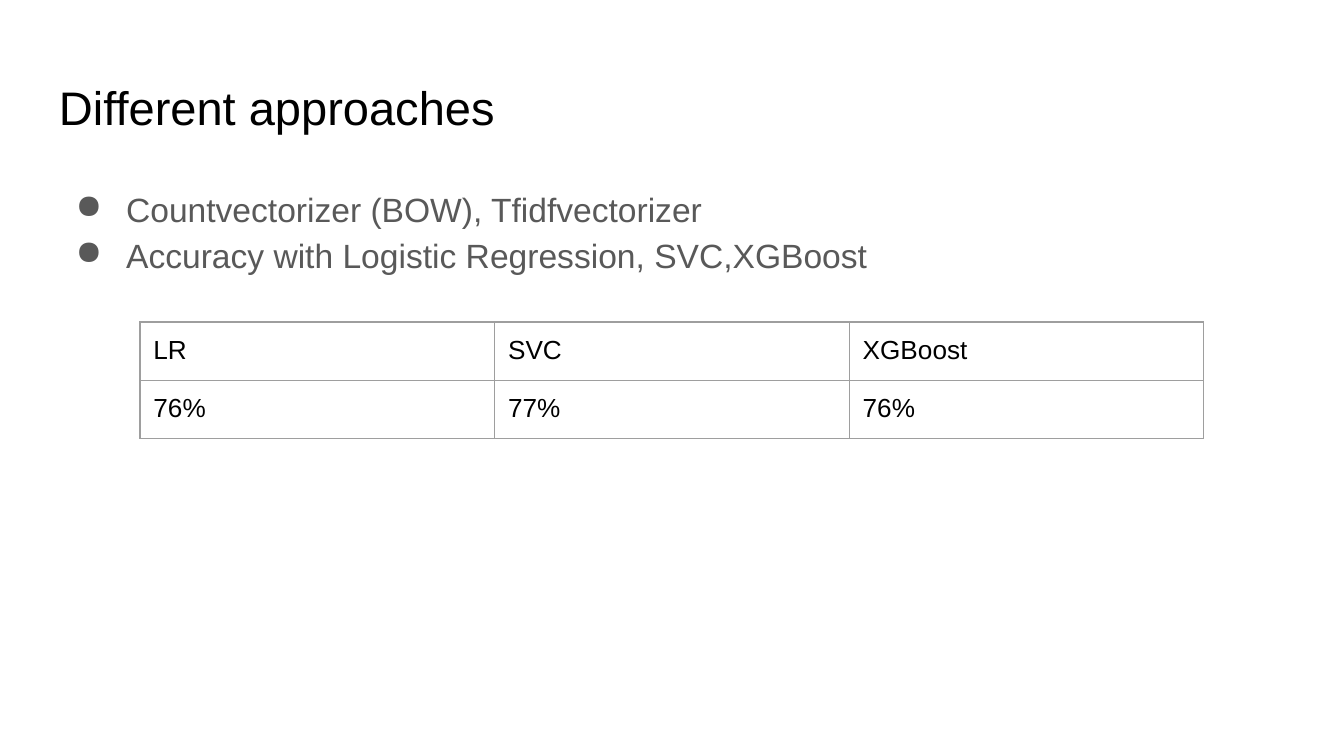
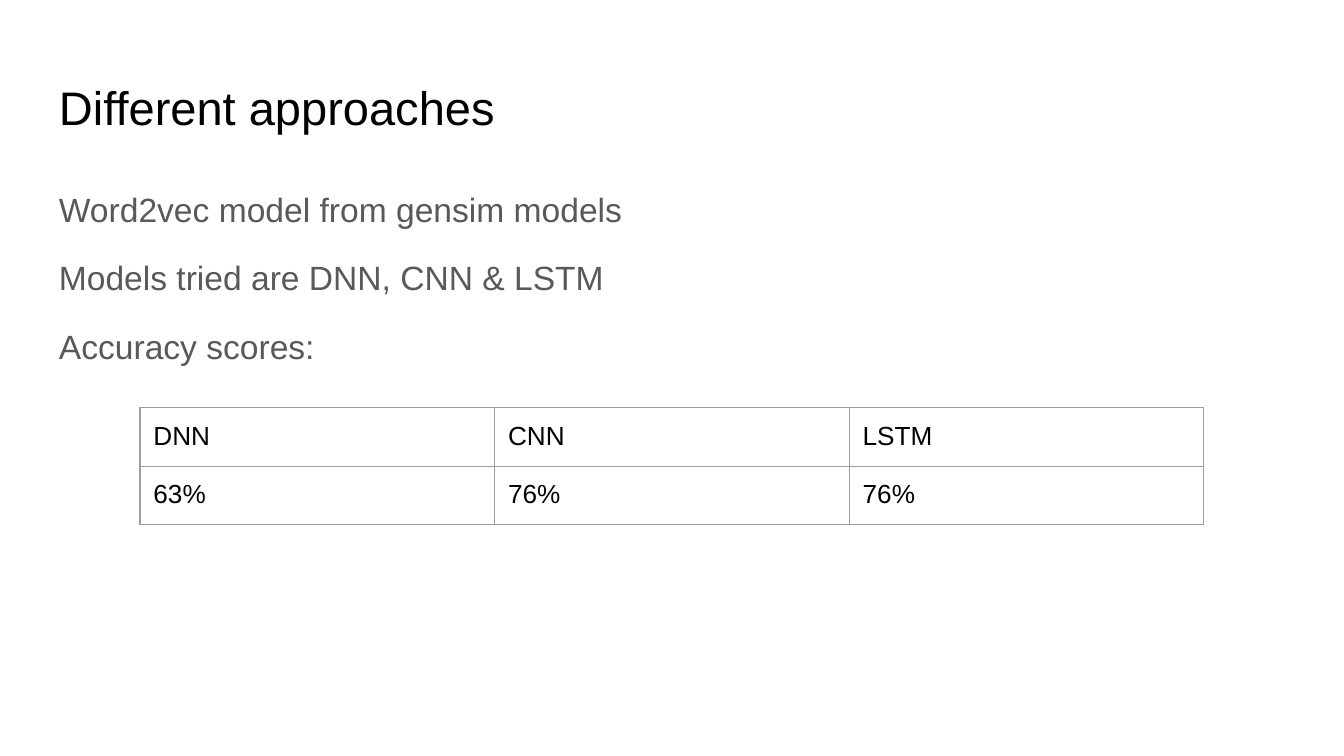
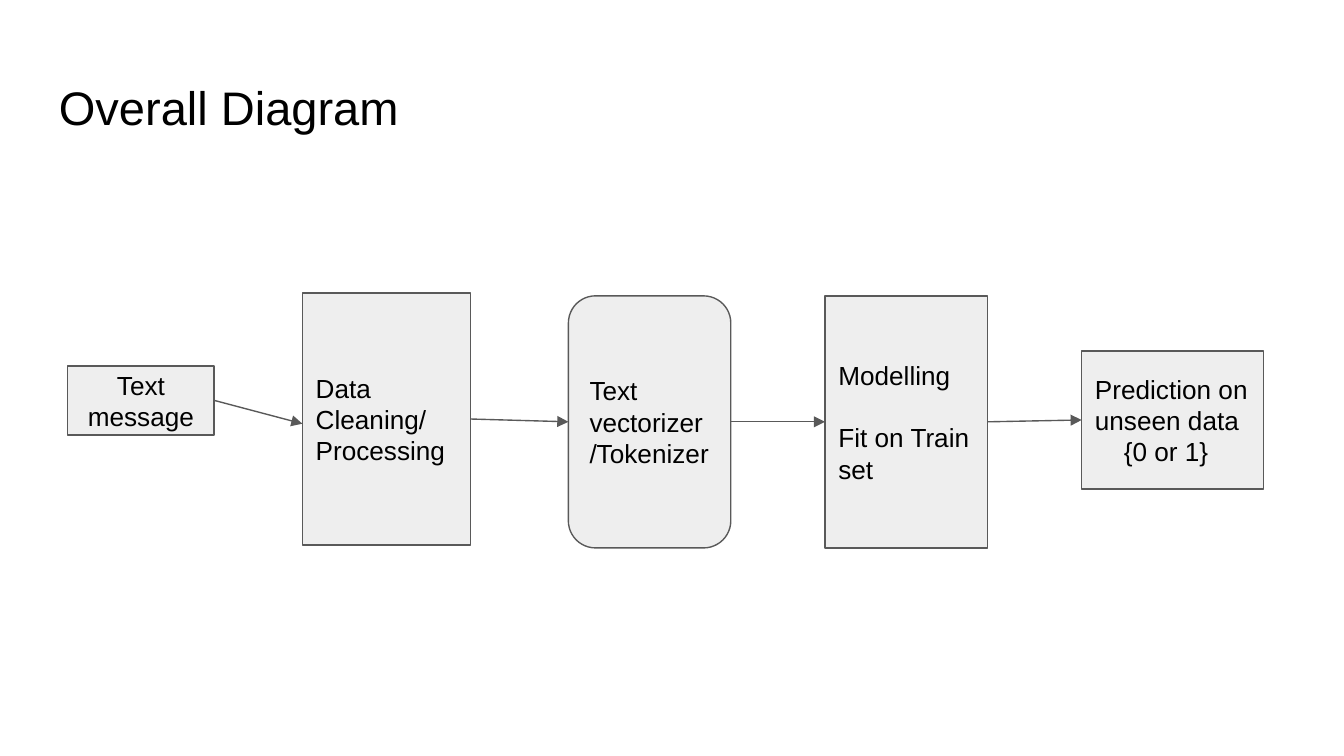
from dataclasses import dataclass
from itertools import pairwise

from lxml import etree
from pptx import Presentation
from pptx.dml.color import RGBColor
from pptx.enum.shapes import MSO_CONNECTOR, MSO_SHAPE
from pptx.enum.text import MSO_ANCHOR, PP_ALIGN
from pptx.oxml.ns import qn
from pptx.slide import Slide
from pptx.text.text import TextFrame
from pptx.util import Pt

RECT, ROUND = MSO_SHAPE.RECTANGLE, MSO_SHAPE.ROUNDED_RECTANGLE
LEFT, CENTER = PP_ALIGN.LEFT, PP_ALIGN.CENTER
TOP, MIDDLE = MSO_ANCHOR.TOP, MSO_ANCHOR.MIDDLE
STRAIGHT = MSO_CONNECTOR.STRAIGHT

COLORS = {
    "paper": "FFFFFF",
    "ink": "000000",
    "body": "595959",
    "box": "EEEEEE",
    "grid": "9E9E9E",
}
FONT = "Arial"
INSET = 7.2
STROKE = 0.75
EDGE, WIDTH = 24.5, 671
GRID_LEFT, GRID_COL, GRID_ROW = 75, 190, 30


@dataclass
class Step:
    """A box of the flow; drop shifts where its outgoing arrow lands."""
    lines: list[str]
    left: float
    top: float
    width: float
    height: float
    kind: MSO_SHAPE = RECT
    align: PP_ALIGN = LEFT
    gap: float = 0
    dent: float = 0
    drop: float = 0

    @property
    def right(self) -> float:
        """Return the right edge."""
        return self.left + self.width

    @property
    def mid(self) -> float:
        """Return the height of the centre."""
        return self.top + self.height / 2


STEPS = [
    Step(["Text message"], 36.25, 196, 78.5, 37, align=CENTER, drop=2.5),
    Step(["Data Cleaning/ Processing"], 162, 157, 90, 135),
    Step(["Text vectorizer/Tokenizer"], 304.5, 158.5, 87, 135, ROUND),
    Step(["Modelling", "Fit on Train set"], 442, 158.5, 87, 135, gap=16.5),
    Step(["Prediction on unseen data", "{0 or 1}"], 579.5, 188, 97.5, 74,
         dent=15.5),
]


def shade(name: str) -> RGBColor:
    """Look up a named colour."""
    return RGBColor.from_string(COLORS[name])


def pad(box) -> None:
    """Give a text frame or a cell equal margins."""
    box.margin_left = box.margin_right = Pt(INSET)
    box.margin_top = box.margin_bottom = Pt(INSET)


def write(frame: TextFrame, lines: list[str], *, size: float = 14,
          color: str = "ink", align: PP_ALIGN = LEFT, anchor: MSO_ANCHOR = TOP,
          lead: float = 1, gap: float = 0, dent: float = 0,
          bullet: str = "") -> None:
    """Write paragraphs; gap and dent apply after the first one."""
    frame.word_wrap = True
    frame.vertical_anchor = anchor
    for index, line in enumerate(lines):
        para = frame.paragraphs[0] if index == 0 else frame.add_paragraph()
        para.alignment = align
        para.line_spacing = lead
        para.space_before = Pt(gap if index else 0)
        run = para.add_run()
        run.text = line
        run.font.name = FONT
        run.font.size = Pt(size)
        run.font.color.rgb = shade(color)
        props = para._p.get_or_add_pPr()
        if index and dent:
            props.set("marL", str(Pt(dent)))
        if bullet:
            props.set("marL", str(Pt(36)))
            props.set("indent", str(-Pt(27)))
            tint = etree.SubElement(props, qn("a:buClr"))
            etree.SubElement(tint, qn("a:srgbClr"), val=COLORS[color])
            etree.SubElement(props, qn("a:buChar"), char=bullet)


def add_text(slide: Slide, lines: list[str], top: float, height: float,
             **form) -> None:
    """Add a text box across the slide."""
    box = slide.shapes.add_textbox(Pt(EDGE), Pt(top), Pt(WIDTH), Pt(height))
    pad(box.text_frame)
    write(box.text_frame, lines, **form)


def add_page(deck, title: str) -> Slide:
    """Add a blank slide with its title."""
    slide = deck.slides.add_slide(deck.slide_layouts[6])
    slide.background.fill.solid()
    slide.background.fill.fore_color.rgb = shade("paper")
    add_text(slide, [title], 35, 45, size=25.2)
    return slide


def add_body(slide: Slide, lines: list[str], **form) -> None:
    """Add the grey body text."""
    add_text(slide, lines, 90.5, 269.5, size=18, color="body", lead=1.15,
             **form)


def add_grid(slide: Slide, rows: list[list[str]], top: float) -> None:
    """Add a plain table with thin borders."""
    high, wide = len(rows), len(rows[0])
    table = slide.shapes.add_table(
        high, wide, Pt(GRID_LEFT), Pt(top),
        Pt(GRID_COL * wide), Pt(GRID_ROW * high)).table
    table.first_row = table.horz_banding = False
    for row, texts in zip(table.rows, rows):
        row.height = Pt(GRID_ROW)
        for cell, text in zip(row.cells, texts):
            pad(cell)
            write(cell.text_frame, [text])
            props = cell._tc.get_or_add_tcPr()
            for side in ("lnL", "lnR", "lnT", "lnB"):
                line = etree.SubElement(props, qn(f"a:{side}"),
                                        w=str(Pt(STROKE)))
                fill = etree.SubElement(line, qn("a:solidFill"))
                etree.SubElement(fill, qn("a:srgbClr"), val=COLORS["grid"])
            cell.fill.background()


def add_step(slide: Slide, step: Step) -> None:
    """Draw one box of the flow."""
    shape = slide.shapes.add_shape(step.kind, Pt(step.left), Pt(step.top),
                                   Pt(step.width), Pt(step.height))
    shape.shadow.inherit = False
    shape.fill.solid()
    shape.fill.fore_color.rgb = shade("box")
    shape.line.color.rgb = shade("body")
    shape.line.width = Pt(STROKE)
    pad(shape.text_frame)
    write(shape.text_frame, step.lines, align=step.align, anchor=MIDDLE,
          gap=step.gap, dent=step.dent)


def add_arrow(slide: Slide, start: Step, end: Step) -> None:
    """Draw an arrow from one box to the next."""
    arrow = slide.shapes.add_connector(
        STRAIGHT, Pt(start.right), Pt(start.mid),
        Pt(end.left), Pt(end.mid + start.drop))
    arrow.line.color.rgb = shade("body")
    arrow.line.width = Pt(STROKE)
    etree.SubElement(arrow.line._get_or_add_ln(), qn("a:tailEnd"),
                     type="triangle")
    etree.SubElement(arrow._element.spPr, qn("a:effectLst"))


def main() -> None:
    """Build and save the deck."""
    deck = Presentation()
    deck.slide_width, deck.slide_height = Pt(720), Pt(405)

    page = add_page(deck, "Different approaches")
    add_body(page, ["Countvectorizer (BOW), Tfidfvectorizer",
                    "Accuracy with Logistic Regression, SVC,XGBoost"],
             bullet="●")
    add_grid(page, [["LR", "SVC", "XGBoost"], ["76%", "77%", "76%"]], 172.5)

    page = add_page(deck, "Different approaches")
    add_body(page, ["Word2vec model from gensim models",
                    "Models tried are DNN, CNN & LSTM",
                    "Accuracy scores:"], gap=12)
    add_grid(page, [["DNN", "CNN", "LSTM"], ["63%", "76%", "76%"]], 218.5)

    page = add_page(deck, "Overall Diagram")
    for step in STEPS:
        add_step(page, step)
    for start, end in pairwise(STEPS):
        add_arrow(page, start, end)

    deck.save("out.pptx")


main()
